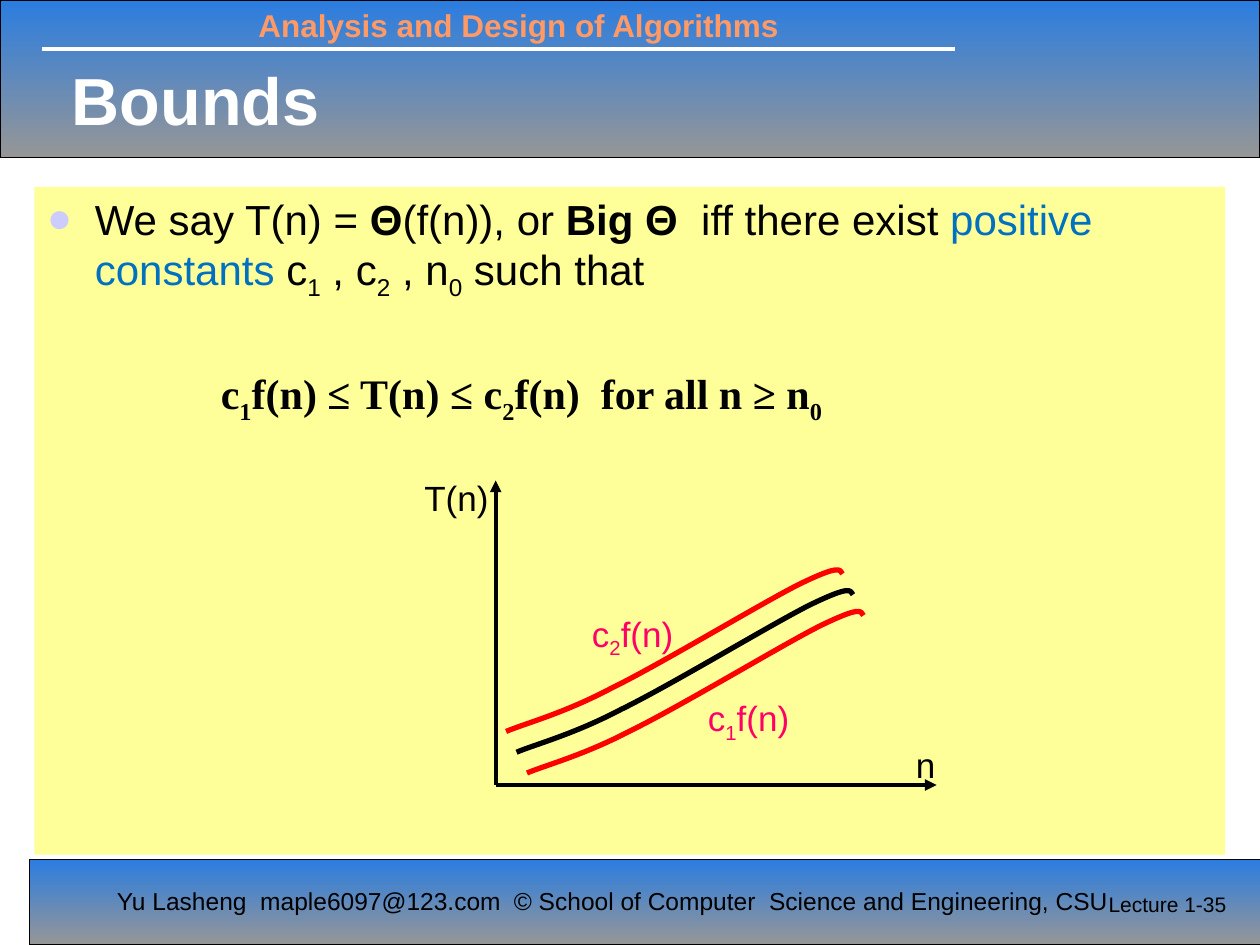
from lxml.etree import SubElement
from pptx import Presentation
from pptx.dml.color import RGBColor as Rgb
from pptx.enum.shapes import MSO_CONNECTOR as Connector, MSO_SHAPE as Preset
from pptx.enum.text import MSO_ANCHOR as Anchor, MSO_AUTO_SIZE as AutoSize, PP_ALIGN as Align
from pptx.oxml.ns import qn
from pptx.util import Inches, Pt

WIDTH, HEIGHT = Inches(10), Inches(7.5)
COLUMN, ROW = WIDTH / 100, HEIGHT / 75
COLORS = {
    "black": "000000", "white": "FFFFFF", "band_top": "2B7DE0", "band_end": "969696",
    "course": "FF9966", "panel": "FFFF99", "bullet": "CCCCFF", "term": "0070C0",
    "bound": "FF0000", "bound_label": "FF0066",
}
SUB = {"baseline": "-25000"}
BOLD = {"bold": True}
CURVE = [(67.7, 47.2), (67.5, 46.8), (67.4, 46.5), (64.3, 48), (61.3, 49.5),
         (53.2, 54.4), (49.3, 56.3), (45.5, 58.3), (42.4, 59.1), (41, 59.7)]
CURVE_STEP = (0.83, 1.65)


def color(name):
    """Return the palette colour with this name."""
    return Rgb.from_string(COLORS[name])


def grid(column, row):
    """Turn a grid position or size into slide lengths."""
    return round(column * COLUMN), round(row * ROW)


def place(item, left, top, width, height):
    """Move and size a placeholder on the grid."""
    item.left, item.top = grid(left, top)
    item.width, item.height = grid(width, height)


def format_frame(frame, **values):
    """Apply text frame values without automatic resizing."""
    for name, value in {"word_wrap": True, "auto_size": AutoSize.NONE, **values}.items():
        setattr(frame, name, value)


def write(paragraph, parts, size, ink="black", **base):
    """Write (text, format) parts as runs sharing a base format."""
    for text, changes in parts:
        style = {"name": "Arial", "size": Pt(size), "bold": False, "ink": ink, **base, **changes}
        run = paragraph.add_run()
        run.text = text
        run.font.color.rgb = color(style.pop("ink"))
        baseline = style.pop("baseline", None)
        for name, value in style.items():
            setattr(run.font, name, value)
        if baseline:
            run.font._element.set("baseline", baseline)


def add_label(slide, area, parts, size, ink="black", wrap=False, **base):
    """Add a text box holding one line."""
    label = slide.shapes.add_textbox(*grid(*area[:2]), *grid(*area[2:]))
    format_frame(label.text_frame, word_wrap=wrap)
    write(label.text_frame.paragraphs[0], parts, size, ink, **base)


def add_band(slide, *area):
    """Add an outlined band with a vertical gradient."""
    band = slide.shapes.add_shape(Preset.RECTANGLE, *grid(*area[:2]), *grid(*area[2:]))
    band.shadow.inherit = False
    band.fill.gradient()
    band.fill.gradient_angle = 270
    for stop, name, position in zip(band.fill.gradient_stops, ("band_top", "band_end"), (0, 1)):
        stop.color.rgb = color(name)
        stop.position = position
    band.line.color.rgb = color("black")
    band.line.width = Pt(0.75)


def add_line(slide, start, end, ink, arrow=False):
    """Add a straight line, with an arrowhead at its end if asked."""
    line = slide.shapes.add_connector(Connector.STRAIGHT, *grid(*start), *grid(*end))
    line.line.color.rgb = color(ink)
    line.line.width = Pt(2.25)
    if arrow:
        SubElement(line.line._get_or_add_ln(), qn("a:tailEnd"), type="triangle")
    SubElement(line._element.spPr, qn("a:effectLst"))


def bend(curve):
    """Turn each three line segments of a freeform into one cubic curve."""
    outline = next(curve._element.iter(qn("a:path")))
    segments = outline.findall(qn("a:lnTo"))
    for first in range(0, len(segments), 3):
        cubic = SubElement(outline, qn("a:cubicBezTo"))
        for segment in segments[first:first + 3]:
            cubic.append(segment[0])
            outline.remove(segment)


def add_curve(slide, shift, ink):
    """Add the growth curve, shifted by a number of curve steps."""
    anchors = [grid(*(v + shift * step for v, step in zip(point, CURVE_STEP))) for point in CURVE]
    builder = slide.shapes.build_freeform(*anchors[0])
    builder.add_line_segments(anchors[1:], close=False)
    curve = builder.convert_to_shape()
    bend(curve)
    curve.shadow.inherit = False
    curve.fill.background()
    curve.line.color.rgb = color(ink)
    curve.line.width = Pt(3)


def indent(paragraph, margin, hanging, bullet=None):
    """Set the indents in inches and the bullet of a paragraph."""
    props = paragraph._p.get_or_add_pPr()
    props.set("marL", str(Inches(margin)))
    props.set("indent", str(Inches(-hanging)))
    if bullet:
        tint = SubElement(props, qn("a:buClr"))
        SubElement(tint, qn("a:srgbClr"), val=COLORS["bullet"])
        SubElement(props, qn("a:buFont"), typeface="Arial")
        SubElement(props, qn("a:buChar"), char=bullet)
    else:
        SubElement(props, qn("a:buNone"))


def fill_title(title):
    """Write the slide title."""
    place(title, 4.7, 3.9, 78.1, 7.9)
    format_frame(title.text_frame, vertical_anchor=Anchor.MIDDLE)
    heading = title.text_frame.paragraphs[0]
    heading.alignment = Align.LEFT
    write(heading, [("Bounds", BOLD)], 38, "white")


def fill_body(body):
    """Write the definition and its inequality."""
    place(body, 2.73, 14.84, 94.5, 53)
    body.fill.solid()
    body.fill.fore_color.rgb = color("panel")
    format_frame(body.text_frame, vertical_anchor=Anchor.TOP)
    definition = body.text_frame.paragraphs[0]
    indent(definition, 0.38, 0.38, "●")
    definition.space_before = Pt(0)
    write(definition, [
        ("We say T(n) = ", {}), ("Θ", BOLD), ("(f(n)), or ", {}), ("Big Θ  ", BOLD),
        ("iff there exist ", {}), ("positive constants", {"ink": "term"}), (" c", {}), ("1", SUB),
        (" , c", {}), ("2", SUB), (" , n", {}), ("0", SUB), (" such that", {})], 24)
    inequality = body.text_frame.add_paragraph()
    indent(inequality, 1.38, 0)
    inequality.space_before = Pt(38)
    write(inequality, [
        ("c", {}), ("1", SUB), ("f(n) ≤ T(n) ≤ c", {}), ("2", SUB),
        ("f(n)  for all n ≥ n", {}), ("0", SUB)], 24, name="Times New Roman", bold=True)


def add_frame(slide):
    """Add the header and footer bands with their texts."""
    add_band(slide, 0, 0, 100, 12.5)
    add_band(slide, 2.34, 68.2, 100, 6.8)
    add_line(slide, (3.3, 3.9), (75.8, 3.9), "white")
    add_label(slide, (19.53, 0, 50, 4), [("Analysis and Design of Algorithms", BOLD)], 18, "course", True)
    add_label(slide, (8.3, 69.8, 32.1, 5.7), [("Yu Lasheng  maple6097@123.com", {})], 14)
    add_label(slide, (39.8, 69.8, 51.2, 3.4),
              [("© School of Computer  Science and Engineering, CSU", {})], 14)


def add_graph(slide):
    """Add the axes, the three curves and their labels."""
    origin = (39.34, 62.3)
    for shift, ink in ((1, "bound"), (0, "black"), (-1, "bound")):
        add_curve(slide, shift, ink)
    for tip in ((39.34, 38.13), (74.34, 62.3)):
        add_line(slide, origin, tip, "black", arrow=True)
    add_label(slide, (32.7, 37.3, 7.3, 4), [("T(n)", {})], 20)
    add_label(slide, (71.7, 58.5, 3.7, 4), [("n", {})], 20)
    for index, left, top in (("1", 55.2, 54.8), ("2", 46, 48.1)):
        add_label(slide, (left, top, 9, 4), [("c", {}), (index, SUB), ("f(n)", {})], 20, "bound_label")


def main():
    """Build and save the slide."""
    deck = Presentation()
    deck.slide_width, deck.slide_height = WIDTH, HEIGHT
    slide = deck.slides.add_slide(deck.slide_layouts[1])
    title, body = slide.placeholders
    add_frame(slide)
    for holder in (title, body):
        slide.shapes._spTree.append(holder._element)
    fill_title(title)
    fill_body(body)
    add_graph(slide)
    add_label(slide, (87, 70.3, 11.8, 5), [("Lecture 1-35", {})], 12, wrap=True)
    deck.save("out.pptx")


if __name__ == "__main__":
    main()
